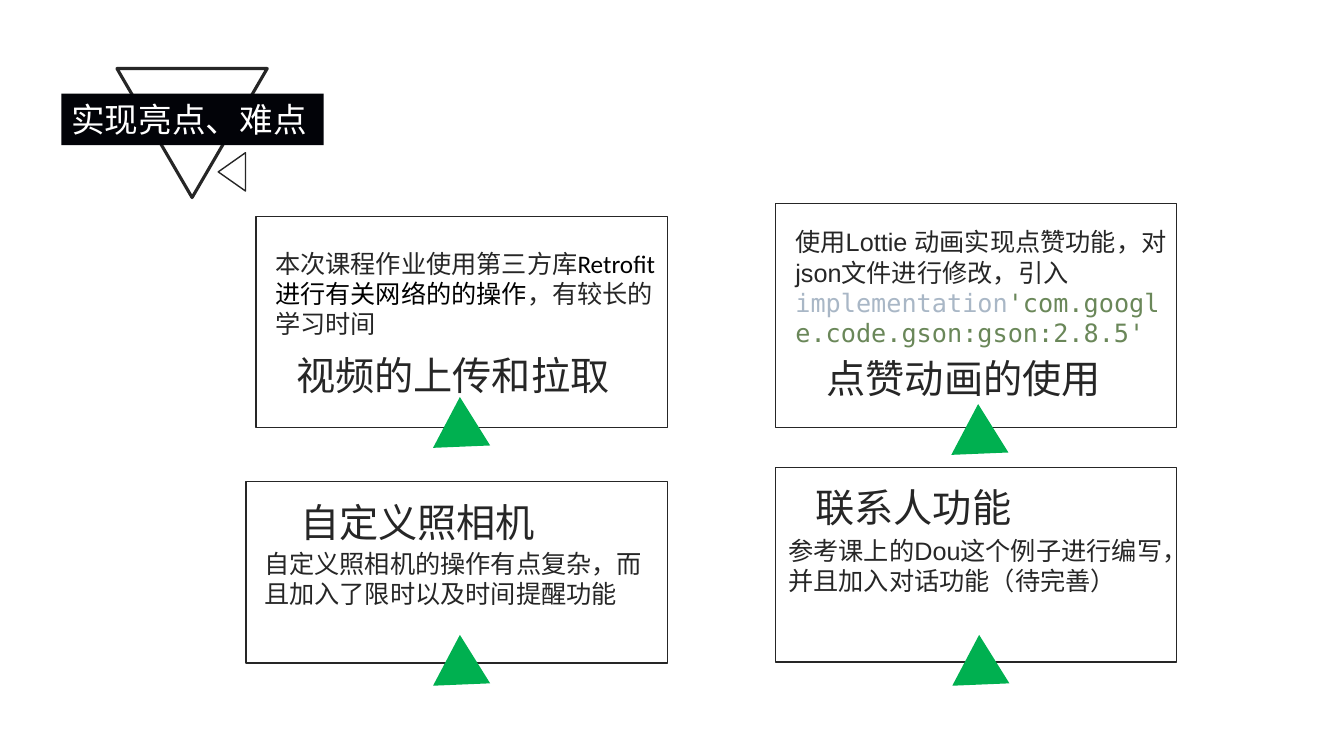
from dataclasses import dataclass

from lxml import etree
from pptx import Presentation
from pptx.dml.color import RGBColor
from pptx.enum import shapes, text
from pptx.oxml import ns
from pptx.util import Inches, Pt


@dataclass(frozen=True)
class Theme:
    ink: str = "262626"
    black: str = "000000"
    banner: str = "020308"
    white: str = "FFFFFF"
    marker: str = "00B050"
    keyword: str = "A9B7C6"
    string: str = "6A8759"
    sans: str = "Arial"
    library: str = "Calibri"
    mono: str = "DejaVu Sans Mono"
    chinese: str = "Noto Sans CJK SC"
    title_size: float = 24
    heading_size: float = 28
    body_size: float = 18
    thin: float = 1
    thick: float = 2.25


THEME = Theme()
RECTANGLE = shapes.MSO_SHAPE.RECTANGLE
TRIANGLE = shapes.MSO_SHAPE.ISOSCELES_TRIANGLE
MARKER_SIZE = (0.57, 0.49)
MARKER_TURN = 117.8

# Heading, body and marker are offsets from the card's top left corner,
# except the marker's second value, which is its rise above the bottom edge.
CARDS = [
    dict(box=(2.54, 2.15, 4.08, 2.09), marker=(1.82, 0.18),
         heading=("视频的上传和拉取", 0.3, 1.29, 3.34),
         body=(0.09, 0.26, 4.04, 1.01),
         spans=[("本次课程作业使用第三方库", THEME.sans, THEME.ink),
                ("Retrofit进行有关网络的的操作", THEME.library, THEME.black),
                ("，有较长的学习时间", THEME.sans, THEME.ink)]),
    dict(box=(7.69, 2.02, 3.98, 2.22), marker=(1.81, 0.11),
         heading=("点赞动画的使用", 0.41, 1.45, 2.95),
         body=(0.1, 0.18, 3.9, 1.62),
         spans=[("使用Lottie 动画实现点赞功能，对json文件进行修改，引入",
                 THEME.sans, THEME.ink),
                ("implementation", THEME.mono, THEME.keyword),
                ("'com.google.code.gson:gson:2.8.5'", THEME.mono, THEME.string)]),
    dict(box=(2.44, 4.78, 4.18, 1.8), marker=(1.92, 0.16),
         heading=("自定义照相机", 0.44, 0.11, 2.56),
         body=(0.08, 0.61, 4.02, 0.71),
         spans=[("自定义照相机的操作有点复杂，而且加入了限时以及时间提醒功能",
                 THEME.sans, THEME.ink)]),
    dict(box=(7.69, 4.64, 3.98, 1.93), marker=(1.82, 0.15),
         heading=("联系人功能", 0.3, 0.11, 2.16),
         body=(0.03, 0.62, 3.92, 0.71),
         spans=[("参考课上的Dou这个例子进行编写，并且加入对话功能（待完善）",
                 THEME.sans, THEME.ink)]),
]


def add_figure(page, kind, box, fill=None, line=None, width=THEME.thin, turn=0):
    figure = page.shapes.add_shape(kind, *map(Inches, box))
    figure.shadow.inherit = False
    figure.rotation = turn
    if fill:
        figure.fill.solid()
        figure.fill.fore_color.rgb = RGBColor.from_string(fill)
    else:
        figure.fill.background()
    if line:
        figure.line.color.rgb = RGBColor.from_string(line)
        figure.line.width = Pt(width)
    else:
        figure.line.fill.background()
    return figure


def write(frame, spans, size, wrap=True):
    """Fill a text frame with one left-aligned paragraph of (text, font, colour) spans."""
    settings = dict(word_wrap=wrap, vertical_anchor=text.MSO_ANCHOR.TOP,
                    auto_size=text.MSO_AUTO_SIZE.SHAPE_TO_FIT_TEXT)
    for name, value in settings.items():
        setattr(frame, name, value)
    para = frame.paragraphs[0]
    para.alignment = text.PP_ALIGN.LEFT
    for words, font, colour in spans:
        span = para.add_run()
        span.text = words
        for name, value in dict(name=font, size=Pt(size)).items():
            setattr(span.font, name, value)
        span.font.color.rgb = RGBColor.from_string(colour)
        east_asian = etree.SubElement(span._r.get_or_add_rPr(), ns.qn("a:ea"))
        east_asian.set("typeface", THEME.chinese)


def add_text(page, box, spans, size, wrap=True):
    write(page.shapes.add_textbox(*map(Inches, box)).text_frame, spans, size, wrap)


def add_title(page, box):
    """Black title banner laid over a pair of outlined triangles."""
    left, top, width, height = box
    add_figure(page, TRIANGLE, (left + 1.5, top + 0.64, 0.38, 0.27),
               line=THEME.ink, turn=270)
    add_figure(page, TRIANGLE, (left + 0.55, top - 0.25, 1.49, 1.28),
               THEME.white, THEME.ink, THEME.thick, 180)
    banner = add_figure(page, RECTANGLE, box, THEME.banner)
    write(banner.text_frame, [("实现亮点、难点", THEME.chinese, THEME.white)],
          THEME.title_size)


def add_card(page, box, heading, body, spans, marker):
    left, top, width, height = box
    add_figure(page, RECTANGLE, box, line=THEME.ink)
    words, across, down, heading_width = heading
    add_text(page, (left + across, top + down, heading_width, 0.57),
             [(words, THEME.sans, THEME.ink)], THEME.heading_size, wrap=False)
    across, down, *body_size = body
    add_text(page, (left + across, top + down, *body_size), spans, THEME.body_size)
    across, rise = marker
    add_figure(page, TRIANGLE, (left + across, top + height - rise, *MARKER_SIZE),
               THEME.marker, turn=MARKER_TURN)


def main():
    deck = Presentation()
    deck.slide_width, deck.slide_height = Inches(13.33), Inches(7.5)
    page = deck.slides.add_slide(deck.slide_layouts[6])
    add_title(page, (0.61, 0.93, 2.6, 0.51))
    for card in CARDS:
        add_card(page, **card)
    deck.save("out.pptx")


if __name__ == "__main__":
    main()
